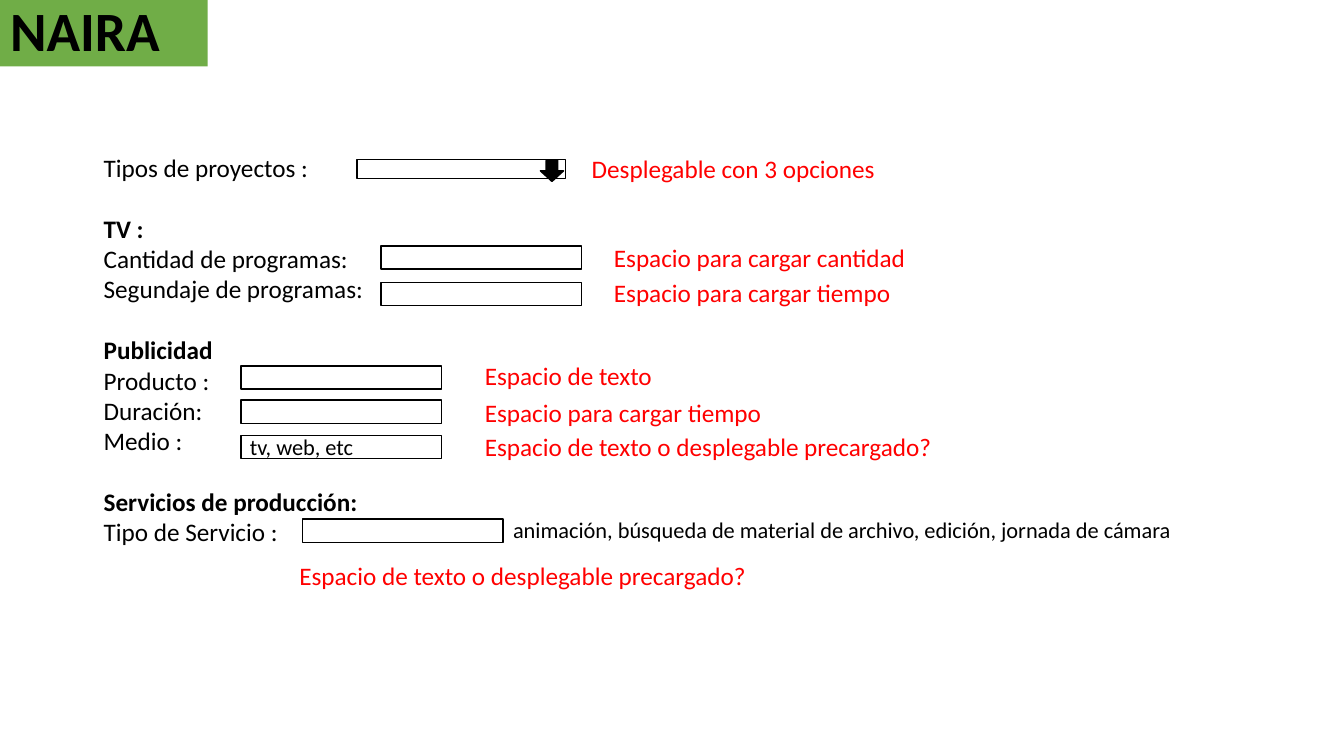
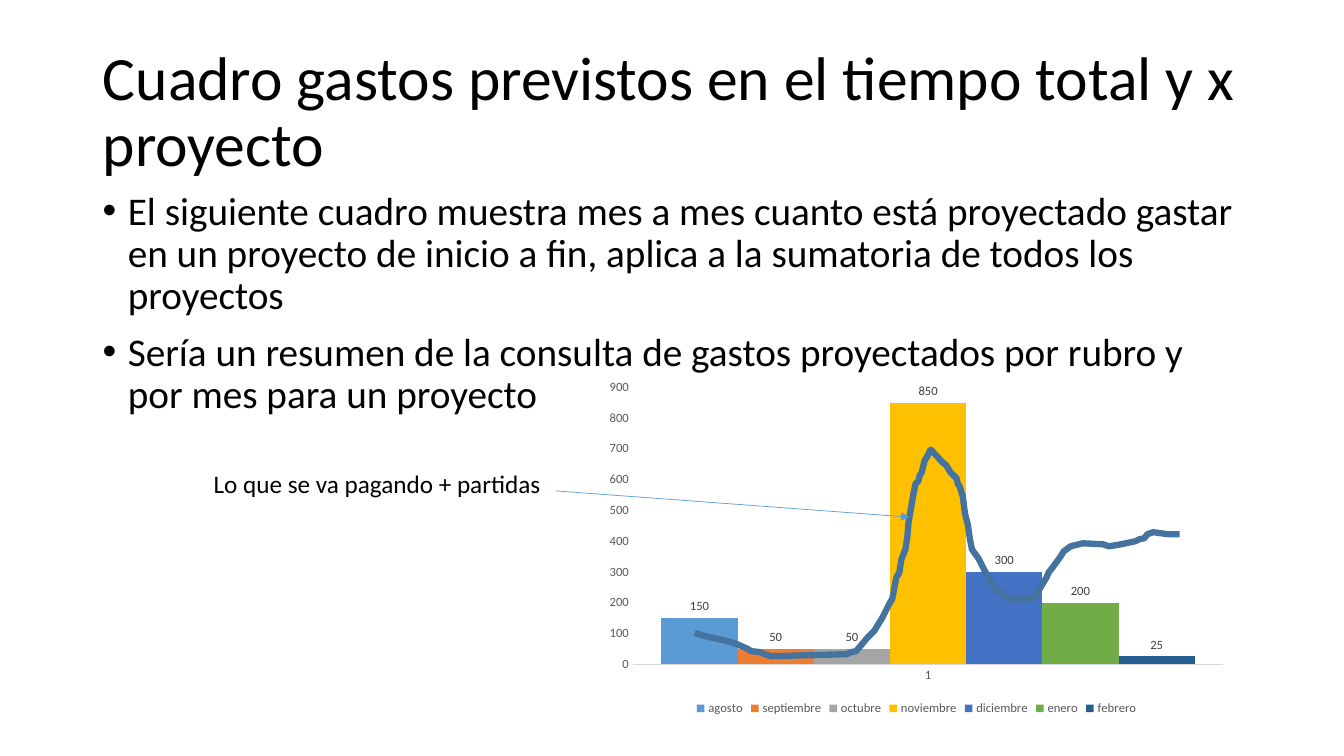
from typing import NamedTuple

from lxml.etree import SubElement
from pptx import Presentation
from pptx.chart.data import CategoryChartData
from pptx.dml.color import RGBColor
from pptx.enum.chart import XL_CHART_TYPE as ChartType
from pptx.enum.chart import XL_LABEL_POSITION as LabelPosition
from pptx.enum.chart import XL_LEGEND_POSITION as LegendPosition
from pptx.enum.chart import XL_TICK_MARK as TickMark
from pptx.enum.shapes import MSO_CONNECTOR as Connector
from pptx.enum.shapes import MSO_SHAPE as Shape
from pptx.enum.text import MSO_ANCHOR as Anchor
from pptx.enum.text import MSO_AUTO_SIZE as AutoSize
from pptx.enum.text import PP_ALIGN as Align
from pptx.oxml.ns import qn
from pptx.util import Inches, Pt

FONT = "Calibri"
BLACK = RGBColor(0x00, 0x00, 0x00)
WHITE = RGBColor(0xFF, 0xFF, 0xFF)
RED = RGBColor(0xFF, 0x00, 0x00)
GREEN = RGBColor(0x70, 0xAD, 0x47)
BLUE = RGBColor(0x5B, 0x9B, 0xD5)
CURVE_BLUE = RGBColor(0x43, 0x73, 0x9E)
AXIS_TEXT = RGBColor(0x59, 0x59, 0x59)
AXIS_LINE = RGBColor(0xD9, 0xD9, 0xD9)
LABEL_TEXT = RGBColor(0x40, 0x40, 0x40)
BLANK_LINE = 22


class Area(NamedTuple):
    left: float
    top: float
    width: float
    height: float


class Caption(NamedTuple):
    text: str
    left: float
    top: float
    width: float
    size: float = 18
    color: RGBColor = RED


class Section(NamedTuple):
    heading: str
    entries: tuple[str, ...]


class Month(NamedTuple):
    name: str
    amount: int
    color: RGBColor


SECTIONS = [
    Section("TV :", ("Cantidad de programas:", "Segundaje de programas:")),
    Section("Publicidad", ("Producto :", "Duración:", "Medio :")),
    Section("Servicios de producción:", ("Tipo de Servicio :",)),
]

DROPDOWN = Area(3.54, 1.58, 2.07, 0.19)
FIELD_CORNERS = [(3.78, 2.44), (3.78, 2.8), (2.39, 3.63), (2.39, 3.97), (2.39, 4.32), (3, 5.15)]

TEXT_OR_LIST = "Espacio de texto o desplegable precargado?"
TIME_SPACE = "Espacio para cargar tiempo"
CAPTIONS = [
    Caption("tv, web, etc", 2.38, 4.25, 1.5, 16, BLACK),
    Caption("animación, búsqueda de material de archivo, edición, jornada de cámara",
            4.99, 5.07, 7.1, 16, BLACK),
    Caption("Desplegable con 3 opciones", 5.77, 1.47, 3.4),
    Caption("Espacio para cargar cantidad", 5.99, 2.35, 3.4),
    Caption(TIME_SPACE, 5.99, 2.7, 3.4),
    Caption("Espacio de texto", 4.71, 3.53, 2.2),
    Caption(TIME_SPACE, 4.71, 3.89, 3.4),
    Caption(TEXT_OR_LIST, 4.71, 4.23, 5),
    Caption(TEXT_OR_LIST, 2.87, 5.51, 5),
]

BULLETS = [
    "El siguiente cuadro muestra mes a mes cuanto está proyectado gastar en un proyecto "
    "de inicio a fin, aplica a la sumatoria de todos los proyectos",
    "Sería un resumen de la consulta de gastos proyectados por rubro y por mes para un proyecto",
]

MONTHS = [
    Month("agosto", 150, BLUE),
    Month("septiembre", 50, RGBColor(0xED, 0x7D, 0x31)),
    Month("octubre", 50, RGBColor(0xA5, 0xA5, 0xA5)),
    Month("noviembre", 850, RGBColor(0xFF, 0xC0, 0x00)),
    Month("diciembre", 300, RGBColor(0x44, 0x72, 0xC4)),
    Month("enero", 200, GREEN),
    Month("febrero", 25, RGBColor(0x25, 0x5E, 0x91)),
]

PAYMENT_CURVE = [
    (689, 628), (695, 630), (699, 631), (708, 633), (721, 636), (731, 639), (742, 644),
    (745, 646), (754, 647), (758, 649), (765, 651), (840, 649), (844, 647), (849, 646),
    (855, 639), (860, 633), (867, 626), (875, 613), (882, 599), (885, 594), (888, 578),
    (889, 573), (892, 568), (894, 555), (898, 545), (900, 532), (901, 519), (902, 513),
    (906, 490), (908, 480), (911, 477), (912, 472), (914, 469), (917, 457), (919, 454),
    (923, 446), (926, 449), (935, 459), (938, 461), (943, 469), (949, 475), (950, 480),
    (952, 483), (955, 493), (957, 509), (960, 521), (962, 535), (964, 545), (969, 552),
    (971, 555), (976, 565), (981, 574), (986, 581), (988, 586), (992, 587), (1001, 594),
    (1005, 595), (1026, 594), (1030, 586), (1033, 581), (1036, 576), (1038, 573),
    (1040, 568), (1044, 563), (1052, 552), (1055, 547), (1062, 542), (1074, 539),
    (1094, 540), (1100, 542), (1112, 540), (1126, 537), (1130, 535), (1135, 534),
    (1138, 530), (1144, 528), (1158, 530), (1170, 530),
]


def style_font(font, size: float, color: RGBColor, bold: bool = False) -> None:
    """Apply the deck typeface with a size, colour and weight."""
    font.name = FONT
    font.size = Pt(size)
    font.color.rgb = color
    font.bold = bold


def write_para(para, text: str, size: float, color: RGBColor = BLACK, bold: bool = False) -> None:
    """Put left-aligned formatted text in a paragraph."""
    para.text = text
    para.alignment = Align.LEFT
    for span in para.runs:
        style_font(span.font, size, color, bold)


def add_title(page, text: str, area: Area, size: float, bold: bool = False):
    """Place and format the title placeholder."""
    title = page.shapes.title
    title.left, title.top, title.width, title.height = map(Inches, area)
    frame = title.text_frame
    frame.auto_size = AutoSize.NONE
    frame.word_wrap = True
    frame.vertical_anchor = Anchor.MIDDLE
    para = frame.paragraphs[0]
    write_para(para, text, size, bold=bold)
    para.line_spacing = 0.9
    para.space_before = Pt(0)
    return title


def add_text_box(page, area: Area):
    """Add a wrapping text box and return its frame."""
    frame = page.shapes.add_textbox(*map(Inches, area)).text_frame
    frame.word_wrap = True
    return frame


def add_caption(page, caption: Caption) -> None:
    """Add a one-line text."""
    frame = add_text_box(page, Area(caption.left, caption.top, caption.width, 0.4))
    write_para(frame.paragraphs[0], caption.text, caption.size, caption.color)


def add_outlined(page, kind: Shape, area: Area, fill: RGBColor = WHITE) -> None:
    """Add a filled shape with a thin black outline."""
    box = page.shapes.add_shape(kind, *map(Inches, area))
    box.shadow.inherit = False
    box.fill.solid()
    box.fill.fore_color.rgb = fill
    box.line.color.rgb = BLACK
    box.line.width = Pt(1)


def add_form_labels(page) -> None:
    """Write the form labels grouped under bold headings."""
    frame = add_text_box(page, Area(0.93, 1.46, 3, 4.64))
    write_para(frame.paragraphs[0], "Tipos de proyectos :", 18)
    for section in SECTIONS:
        heading = frame.add_paragraph()
        write_para(heading, section.heading, 18, bold=True)
        heading.space_before = Pt(BLANK_LINE)
        for entry in section.entries:
            write_para(frame.add_paragraph(), entry, 18)


def add_bullets(page) -> None:
    """Write the bulleted explanation."""
    frame = add_text_box(page, Area(0.92, 1.85, 11.5, 4.76))
    for index, text in enumerate(BULLETS):
        para = frame.add_paragraph() if index else frame.paragraphs[0]
        write_para(para, text, 28)
        para.line_spacing = 0.9
        para.space_before = Pt(10)
        properties = para._p.get_or_add_pPr()
        properties.set("marL", str(Inches(0.25)))
        properties.set("indent", str(-Inches(0.25)))
        SubElement(properties, qn("a:buFont"), typeface="Arial")
        SubElement(properties, qn("a:buChar"), char="•")


def add_expense_chart(page) -> None:
    """Add the monthly expense columns."""
    data = CategoryChartData()
    data.categories = ["1"]
    for month in MONTHS:
        data.add_series(month.name, [month.amount])
    area = Area(5.92, 3.7, 6.34, 3.44)
    chart = page.shapes.add_chart(ChartType.COLUMN_CLUSTERED, *map(Inches, area), data).chart
    style_font(chart.font, 10, BLACK)
    chart.has_title = False
    chart.has_legend = True
    chart.legend.position = LegendPosition.BOTTOM
    chart.legend.include_in_layout = False
    style_font(chart.legend.font, 9, AXIS_TEXT)

    for axis in (chart.category_axis, chart.value_axis):
        axis.major_tick_mark = axis.minor_tick_mark = TickMark.NONE
        axis.has_major_gridlines = False
        style_font(axis.tick_labels.font, 9, AXIS_TEXT)
    chart.category_axis.format.line.color.rgb = AXIS_LINE
    chart.category_axis.format.line.width = Pt(0.75)
    chart.value_axis.format.line.fill.background()
    chart.value_axis.minimum_scale = 0
    chart.value_axis.maximum_scale = 900
    chart.value_axis.major_unit = 100

    plot = chart.plots[0]
    plot.gap_width = 75
    plot.overlap = 0
    plot.vary_by_categories = False
    for month, series in zip(MONTHS, plot.series):
        series.format.fill.solid()
        series.format.fill.fore_color.rgb = month.color
        labels = series.data_labels
        labels.show_value = True
        labels.position = LabelPosition.OUTSIDE_END
        style_font(labels.font, 9, LABEL_TEXT)


def add_payment_curve(page) -> None:
    """Draw the payments line over the columns."""
    start, *rest = PAYMENT_CURVE
    builder = page.shapes.build_freeform(*start, scale=Inches(0.01))
    builder.add_line_segments(rest, close=False)
    curve = builder.convert_to_shape()
    curve.shadow.inherit = False
    curve.fill.background()
    curve.line.color.rgb = CURVE_BLUE
    curve.line.width = Pt(4.5)


def add_arrow(page, start: tuple[float, float], end: tuple[float, float]) -> None:
    """Draw a thin arrow between two points."""
    arrow = page.shapes.add_connector(Connector.STRAIGHT, *map(Inches, start + end))
    arrow.line.color.rgb = BLUE
    arrow.line.width = Pt(0.5)
    properties = arrow.element.spPr
    SubElement(properties.find(qn("a:ln")), qn("a:tailEnd"), type="triangle")
    SubElement(properties, qn("a:effectLst"))


def build_form_page(page) -> None:
    """Build the project form."""
    title = add_title(page, "NAIRA", Area(0, 0, 2.06, 0.66), 39.6, bold=True)
    title.fill.solid()
    title.fill.fore_color.rgb = GREEN
    add_form_labels(page)
    for left, top in FIELD_CORNERS:
        add_outlined(page, Shape.RECTANGLE, Area(left, top, 1.99, 0.23))
    add_outlined(page, Shape.RECTANGLE, DROPDOWN)
    add_outlined(page, Shape.DOWN_ARROW, Area(5.36, 1.59, 0.23, 0.21), BLACK)
    for caption in CAPTIONS:
        add_caption(page, caption)


def build_expense_page(page) -> None:
    """Build the expense forecast."""
    add_title(page, "Cuadro gastos previstos en el tiempo total y x proyecto",
              Area(0.92, 0.4, 11.5, 1.45), 44)
    add_bullets(page)
    add_expense_chart(page)
    add_payment_curve(page)
    add_arrow(page, (5.51, 4.87), (9.02, 5.13))
    add_caption(page, Caption("Lo que se va pagando + partidas", 2.02, 4.6, 3.7, color=BLACK))


def main() -> None:
    """Build and save the deck."""
    deck = Presentation()
    deck.slide_width, deck.slide_height = Inches(13.33), Inches(7.5)
    title_only = deck.slide_layouts[5]
    for build_page in (build_form_page, build_expense_page):
        build_page(deck.slides.add_slide(title_only))
    deck.save("out.pptx")


if __name__ == "__main__":
    main()
